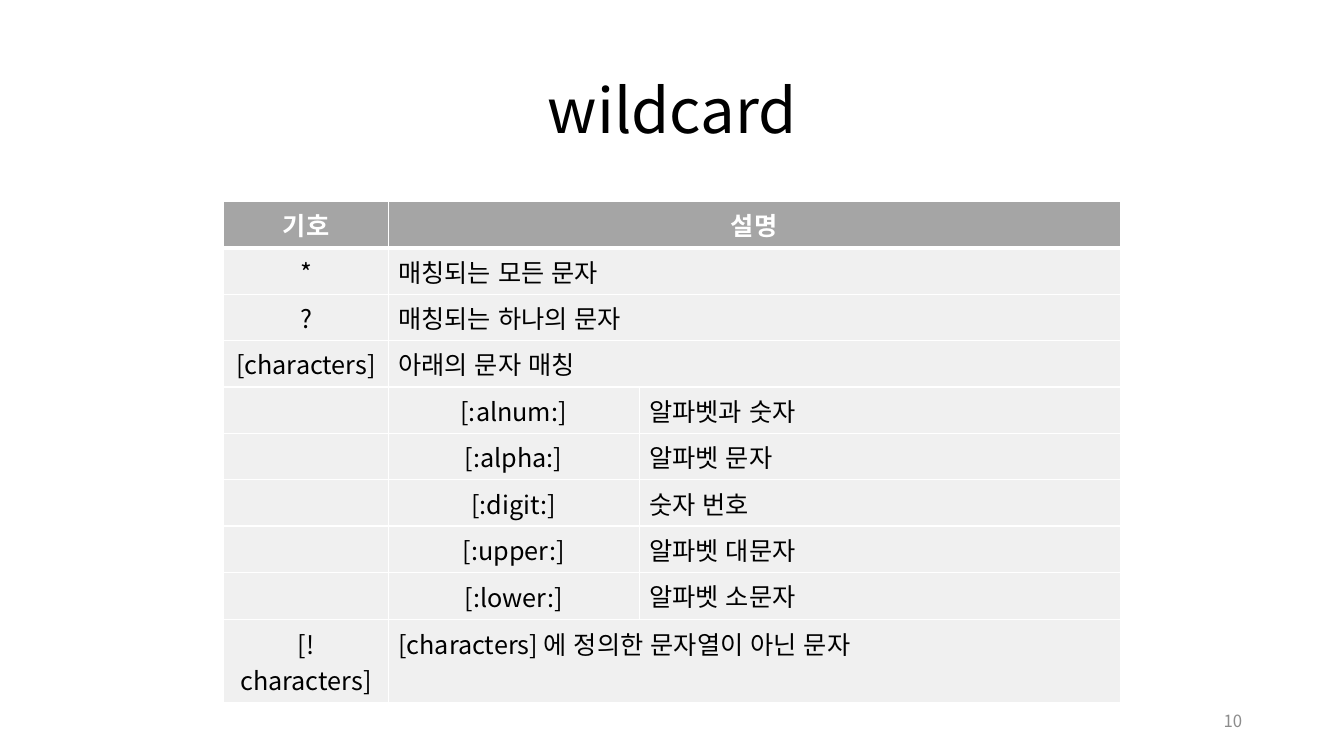
from lxml import etree
from pptx import Presentation
from pptx.dml.color import RGBColor
from pptx.enum.lang import MSO_LANGUAGE_ID
from pptx.enum.text import MSO_ANCHOR, PP_ALIGN
from pptx.oxml.ns import qn
from pptx.util import Inches, Pt

LEFT, CENTER, RIGHT = PP_ALIGN.LEFT, PP_ALIGN.CENTER, PP_ALIGN.RIGHT
TOP, MIDDLE = MSO_ANCHOR.TOP, MSO_ANCHOR.MIDDLE
KOREAN = MSO_LANGUAGE_ID.KOREAN
FONT = "Noto Sans CJK KR"
COLORS = {"ink": "000000", "white": "FFFFFF", "header": "A5A5A5",
          "body": "F0F0F0", "number": "8C8C8C"}

COLUMN_WIDTHS = [1.63, 2.49, 4.77]
ROW_HEIGHTS = [0.46] * 8 + [0.47, 0.82]
WILDCARDS = [
    ("기호", "설명"),
    ("*", "매칭되는 모든 문자"),
    ("?", "매칭되는 하나의 문자"),
    ("[characters]", "아래의 문자 매칭"),
    ("", "[:alnum:]", "알파벳과 숫자"),
    ("", "[:alpha:]", "알파벳 문자"),
    ("", "[:digit:]", "숫자 번호"),
    ("", "[:upper:]", "알파벳 대문자"),
    ("", "[:lower:]", "알파벳 소문자"),
    ("[!characters]", "[characters] 에 정의한 문자열이 아닌 문자"),
]


def write(frame, text, size=18, color="ink", bold=False, align=LEFT, spacing=None):
    para = frame.paragraphs[0]
    para.alignment = align
    if spacing:
        para.line_spacing = spacing
    if not text:
        para.font.size = Pt(size)
        return
    span = para.add_run()
    span.text = text
    span.font.size = Pt(size)
    span.font.bold = bold
    span.font.language_id = KOREAN
    span.font.color.rgb = RGBColor.from_string(COLORS[color])
    span.font.name = FONT
    latin = span.font._element.find(qn("a:latin"))
    east_asian = etree.Element(qn("a:ea"), typeface=FONT)
    latin.addnext(east_asian)


class SlideBuilder:
    """Holds the style and the current slide."""

    def __init__(self, deck):
        self.page = deck.slides.add_slide(deck.slide_layouts[6])

    def text(self, text, left, top, width, height, **style):
        box = self.page.shapes.add_textbox(
            Inches(left), Inches(top), Inches(width), Inches(height))
        frame = box.text_frame
        frame.word_wrap = True
        frame.vertical_anchor = MIDDLE
        write(frame, text, **style)

    def border(self, cell, side, points):
        line = etree.SubElement(cell._tc.get_or_add_tcPr(), qn("a:ln" + side),
                                w=str(Pt(points)))
        fill = etree.SubElement(line, qn("a:solidFill"))
        etree.SubElement(fill, qn("a:srgbClr"), val=COLORS["white"])

    def table(self, rows, left, top, widths, heights):
        table = self.page.shapes.add_table(
            len(rows), len(widths), Inches(left), Inches(top),
            Inches(sum(widths)), Inches(sum(heights))).table
        table.horz_banding = False
        for column, width in zip(table.columns, widths):
            column.width = Inches(width)
        for row, height in zip(table.rows, heights):
            row.height = Inches(height)
        for r, texts in enumerate(rows):
            header = r == 0
            for c in range(len(widths)):
                cell = table.cell(r, c)
                for side in "LRTB":
                    thick = (r, side) in ((0, "B"), (1, "T"))
                    self.border(cell, side, 3 if thick else 1)
                cell.fill.solid()
                cell.fill.fore_color.rgb = RGBColor.from_string(
                    COLORS["header" if header else "body"])
            if len(texts) == 2:
                table.cell(r, 1).merge(table.cell(r, 2))
            for c, text in enumerate(texts):
                cell = table.cell(r, c)
                char_class = c == 1 and len(texts) == 3
                cell.vertical_anchor = MIDDLE if char_class else TOP
                write(cell.text_frame, text, bold=header,
                      color="white" if header else "ink",
                      align=CENTER if header or c == 0 or char_class else LEFT)


def main():
    deck = Presentation()
    deck.slide_width, deck.slide_height = Inches(13.33), Inches(7.5)
    slide = SlideBuilder(deck)
    slide.text("wildcard", 0.92, 0.4, 11.5, 1.45, size=44, align=CENTER, spacing=0.9)
    slide.table(WILDCARDS, 2.22, 2, COLUMN_WIDTHS, ROW_HEIGHTS)
    slide.text("10", 9.42, 6.95, 3, 0.4, size=12, color="number", align=RIGHT)
    deck.save("out.pptx")


if __name__ == "__main__":
    main()
